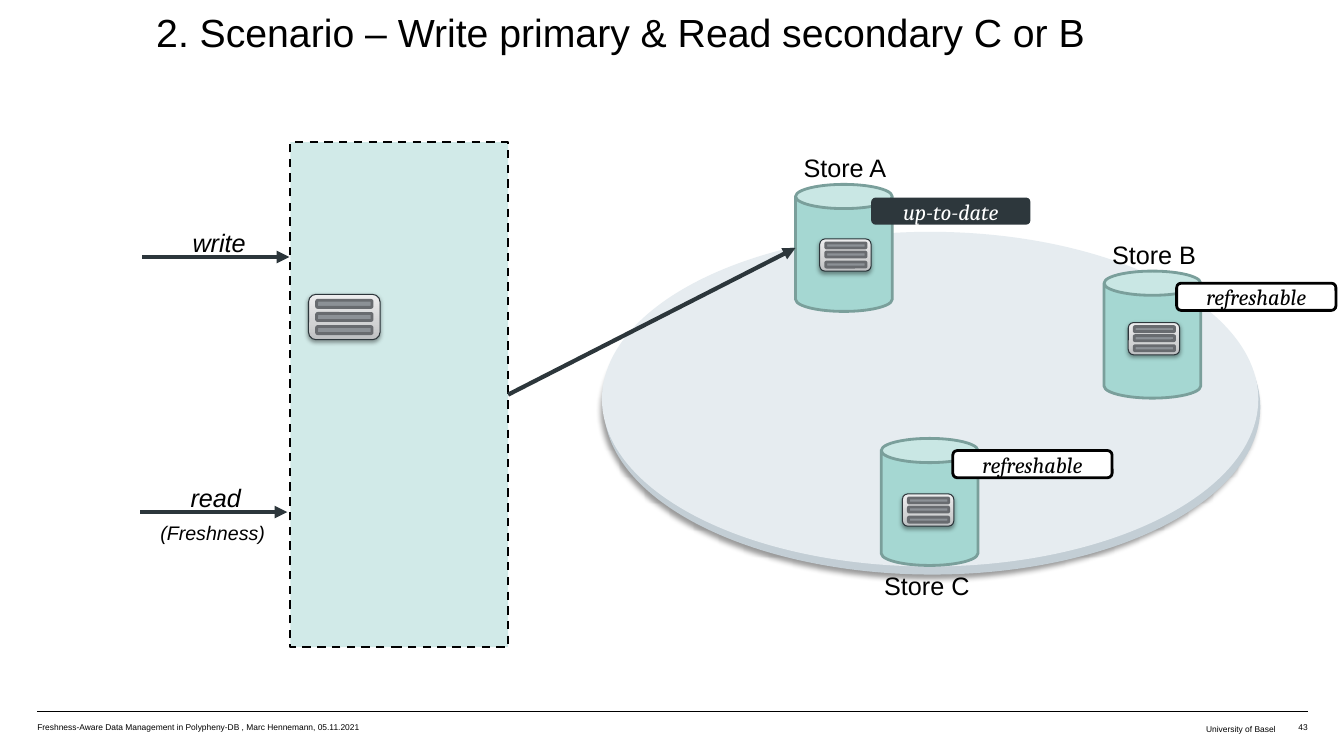
"""Build the slide on writing to a primary store and reading from secondaries."""
from copy import deepcopy

from lxml import etree
from pptx import Presentation
from pptx import util as u
from pptx.dml.color import RGBColor
from pptx.enum import dml, shapes, text
from pptx.oxml.ns import qn

PX = 9144
COLORS = {
    "black": "000000", "white": "FFFFFF", "ink": "2C363B", "badge": "2D373C",
    "teal": "A5D7D2", "teal edge": "7A9F9B", "disc": "E6ECF0", "disc rim": "C3CED5",
    "bar": "8C9196", "bar edge": "686B6F",
    "metal dark": "BDBFC1", "metal": "D1D2D3", "metal light": "EEEEEF",
}
RGB = {name: RGBColor.from_string(value) for name, value in COLORS.items()}
PRESET = shapes.MSO_SHAPE


def add_box(parent, preset, box, fill, edge=None, width=0, shadow=None):
    shape = parent.add_shape(preset, *(round(value) * PX for value in box))
    shape.shadow.inherit = False
    shape.fill.solid()
    shape.fill.fore_color.rgb = RGB[fill]
    if edge:
        shape.line.color.rgb = RGB[edge]
        shape.line.width = u.Pt(width)
    else:
        shape.line.fill.background()
    if shadow:
        alpha, blur, distance, angle = shadow
        effects = shape._element.spPr.find(qn("a:effectLst"))
        outer = etree.SubElement(
            effects, qn("a:outerShdw"), blurRad=str(u.Pt(blur)), dist=str(u.Pt(distance)),
            dir=str(angle * 60000), algn="ctr", rotWithShape="0")
        color = etree.SubElement(outer, qn("a:srgbClr"), val=COLORS["black"])
        etree.SubElement(color, qn("a:alpha"), val=str(alpha * 1000))
    return shape


def add_words(shape, words, size, color="black", font="Arial", italic=False,
              align=text.PP_ALIGN.LEFT, spacing=None):
    paragraph = shape.text_frame.paragraphs[0]
    paragraph.alignment = align
    if spacing:
        paragraph.line_spacing = u.Pt(spacing)
    run = paragraph.add_run()
    run.text = words
    run.font.name = font
    run.font.size = u.Pt(size)
    run.font.italic = italic
    run.font.color.rgb = RGB[color]


presentation = Presentation()
presentation.slide_width = 1333 * PX
presentation.slide_height = 750 * PX
slide = presentation.slides.add_slide(presentation.slide_layouts[6])

add_box(slide.shapes, PRESET.OVAL, (599, 238, 651, 332), "disc rim", shadow=(40, 4, 3, 135))
add_box(slide.shapes, PRESET.OVAL, (597, 230, 651, 332), "disc")

for left, top in ((789, 183), (1095, 269), (874, 435)):
    add_box(slide.shapes, PRESET.CAN, (left, top, 96, 126), "teal", "teal edge", 2)

middleware = add_box(slide.shapes, PRESET.RECTANGLE, (288, 141, 216, 501), "teal", "black", 1.5)
middleware.line.dash_style = dml.MSO_LINE.DASH
fill_color = middleware._element.spPr.find(qn("a:solidFill"))[0]
etree.SubElement(fill_color, qn("a:alpha"), val="50000")

LINES = [
    ((37, 706, 1297, 706), "black", 0.25, False, None),
    ((141, 255, 287, 255), "ink", 3, True, None),
    ((139, 508, 285, 508), "ink", 3, True, None),
    ((504, 392, 789, 246), "ink", 3, True, middleware),
]
for ends, color, width, arrow, source in LINES:
    connector = slide.shapes.add_connector(
        shapes.MSO_CONNECTOR.STRAIGHT, *(value * PX for value in ends))
    connector.line.color.rgb = RGB[color]
    connector.line.width = u.Pt(width)
    if source:
        connector.begin_connect(source, 3)
    properties = connector._element.spPr
    if arrow:
        etree.SubElement(properties.find(qn("a:ln")), qn("a:tailEnd"), type="triangle")
    etree.SubElement(properties, qn("a:effectLst"))

METAL = [(0, "metal dark"), (0.35, "metal"), (1, "metal light")]
SERVERS = [(306, 292, 71, 45), (895, 490, 51, 32), (813, 237, 51, 32), (1119, 320, 51, 32)]
for left, top, width, height in SERVERS:
    server = slide.shapes.add_group_shape()
    case = add_box(server.shapes, PRESET.ROUNDED_RECTANGLE, (left, top, width, height),
                   "metal", "ink", 0.75, (38, 3.1, 1.6, 90))
    case.fill.gradient()
    case.fill.gradient_angle = 90
    stops = case._element.spPr.find(".//" + qn("a:gsLst"))
    stops.append(deepcopy(stops[0]))
    for stop, (position, color) in zip(case.fill.gradient_stops, METAL):
        stop.position = position
        stop.color.rgb = RGB[color]
    for row in range(3):
        bar = (left + 0.11 * width, top + (0.13 + 0.29 * row) * height,
               0.78 * width, 0.155 * height)
        add_box(server.shapes, PRESET.ROUNDED_RECTANGLE, bar, "bar", "bar edge", 2)

BADGES = [
    (864, 196, "up-to-date", "badge", None, "white"),
    (1167, 281, "refreshable", "white", "black", "black"),
    (945, 447, "refreshable", "white", "black", "black"),
]
for left, top, words, fill, edge, color in BADGES:
    badge = add_box(slide.shapes, PRESET.ROUNDED_RECTANGLE, (left, top, 158, 27), fill, edge, 2)
    badge.text_frame.vertical_anchor = text.MSO_ANCHOR.MIDDLE
    add_words(badge, words, 16, color, "Cambria", True, text.PP_ALIGN.CENTER)

LABELS = [
    ((155, 24, 1000, 100), "2. Scenario – Write primary & Read secondary C or B", 28, False),
    ((797, 151, 96, 32), "Store A", 18, False),
    ((1103, 237, 130, 38), "Store B", 18, False),
    ((877, 565, 130, 38), "Store C", 18, False),
    ((191, 225, 100, 36), "write", 18, True),
    ((189, 478, 100, 36), "read", 18, True),
    ((159, 510, 120, 36), "(Freshness)", 14, True),
]
FOOTERS = [
    ((37, 714, 339, 20), "Freshness-Aware Data Management in Polypheny-DB , Marc Hennemann, 05.11.2021",
     text.PP_ALIGN.LEFT, (0, 2, 0, 0)),
    ((997, 714, 278, 20), "University of Basel", text.PP_ALIGN.RIGHT, (10, 4, 10, 4)),
    ((1276, 714, 21, 20), "43", text.PP_ALIGN.RIGHT, (0, 2, 0, 0)),
]
CAPTIONS = [(box, words, size, italic, text.PP_ALIGN.LEFT, (0, 0, 0, 0), 22)
            for box, words, size, italic in LABELS]
CAPTIONS += [(box, words, 6, False, align, insets, None)
             for box, words, align, insets in FOOTERS]
for box, words, size, italic, align, insets, spacing in CAPTIONS:
    caption = slide.shapes.add_textbox(*(value * PX for value in box))
    frame = caption.text_frame
    frame.word_wrap = True
    frame.margin_left, frame.margin_top, frame.margin_right, frame.margin_bottom = (
        value * PX for value in insets)
    add_words(caption, words, size, italic=italic, align=align, spacing=spacing)

presentation.save("out.pptx")
